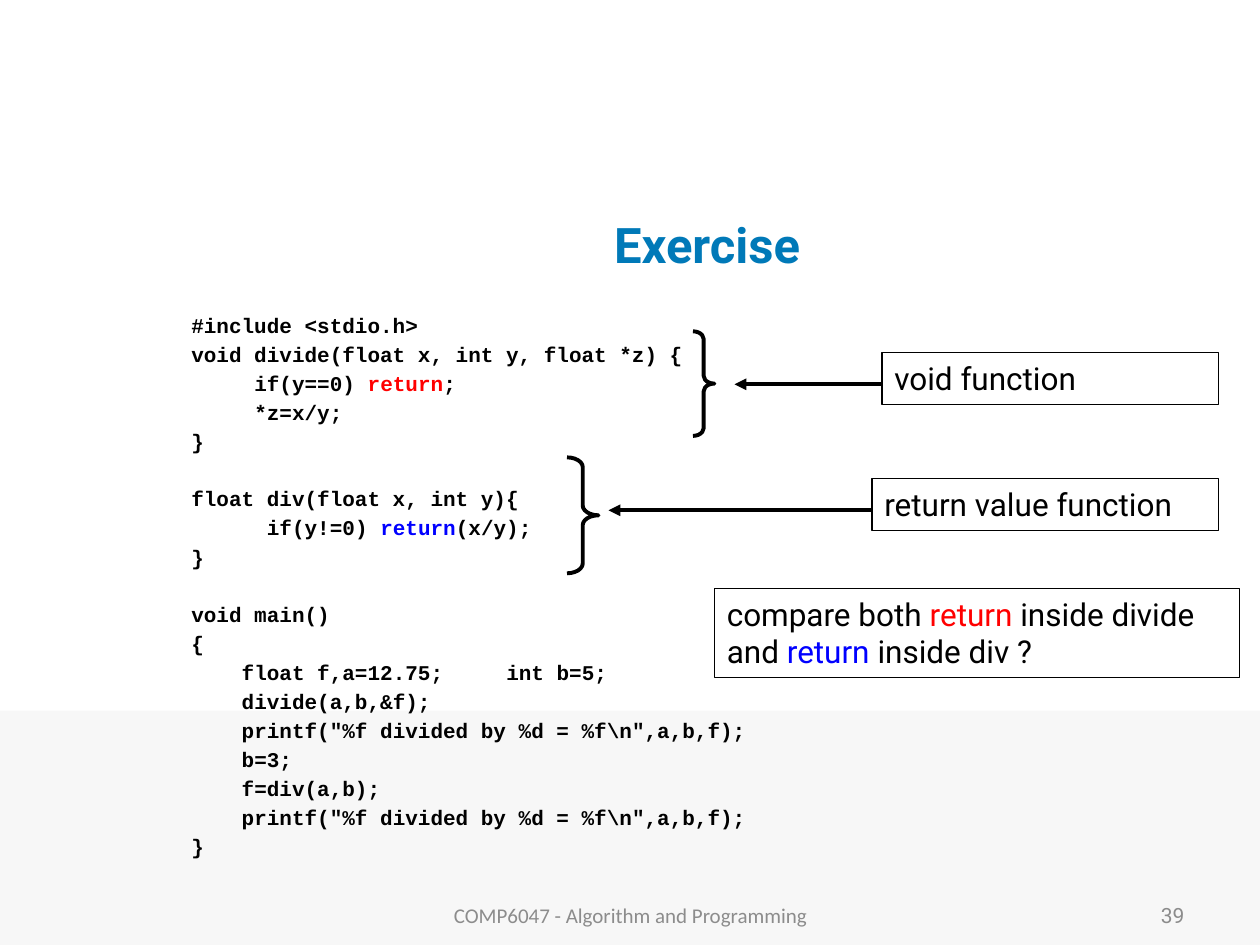
"""Build the exercise slide on return statements in C functions."""
from dataclasses import dataclass
from typing import Any, NamedTuple, Optional

import lxml.etree
import pptx
import pptx.dml.color
import pptx.enum.shapes
import pptx.enum.text
import pptx.oxml
import pptx.oxml.ns
import pptx.util

Inches = pptx.util.Inches
Pt = pptx.util.Pt
Align = pptx.enum.text.PP_ALIGN
Anchor = pptx.enum.text.MSO_ANCHOR
AutoSize = pptx.enum.text.MSO_AUTO_SIZE
Shape = pptx.enum.shapes.MSO_SHAPE


@dataclass(frozen=True)
class Theme:
    ink: str = "000000"
    title: str = "0079B8"
    muted: str = "8C8C8C"
    band: str = "F7F7F7"
    void_return: str = "FF0000"
    value_return: str = "0000FF"
    sans: str = "Roboto"
    mono: str = "Courier New"
    footer: str = "Calibri"
    title_size: float = 28
    label_size: float = 18
    small_size: float = 12
    thin: float = 0.75
    thick: float = 2.25


THEME = Theme()


class Box(NamedTuple):
    left: float
    top: float
    width: float
    height: float


class Span(NamedTuple):
    text: str
    color: Optional[str] = None


class Style(NamedTuple):
    font: str
    size: float
    color: str = THEME.ink
    bold: bool = False


class CodeLine(NamedTuple):
    columns: int
    spans: list[Span]
    after_gap: bool = False


class Caption(NamedTuple):
    box: Box
    text: str
    style: Style
    align: Any


class Label(NamedTuple):
    box: Box
    spans: list[Span]


class Arrow(NamedTuple):
    start: float
    end: float
    y: float


class Brace(NamedTuple):
    box: Box
    curl: float


COLUMN = 0.1
LINE_GAP = 5.1
LINE_PITCH = 16
DECLARATION_TAB = 24 * COLUMN
PRINT_LINE = CodeLine(4, [Span('printf("%f divided by %d = %f\\n",a,b,f);')])

CODE = [
    CodeLine(0, [Span("#include <stdio.h>")]),
    CodeLine(0, [Span("void divide(float x, int y, float *z) {")]),
    CodeLine(5, [Span("if(y==0)"), Span(" return", THEME.void_return), Span(";")]),
    CodeLine(5, [Span("*z=x/y;")]),
    CodeLine(0, [Span("}")]),
    CodeLine(0, [Span("float div(float x, int y){")], after_gap=True),
    CodeLine(6, [Span("if(y!=0) "), Span("return", THEME.value_return), Span("(x/y);")]),
    CodeLine(0, [Span("}")]),
    CodeLine(0, [Span("void main()")], after_gap=True),
    CodeLine(0, [Span("{")]),
    CodeLine(4, [Span("float f,a=12.75;\tint b=5;")]),
    CodeLine(4, [Span("divide(a,b,&f);")]),
    PRINT_LINE,
    CodeLine(4, [Span("b=3;")]),
    CodeLine(4, [Span("f=div(a,b);")]),
    PRINT_LINE,
    CodeLine(0, [Span("}")]),
]

CAPTIONS = [
    Caption(Box(1.92, 1.5, 7.48, 0.87), "Exercise ",
            Style(THEME.sans, THEME.title_size, THEME.title, True), Align.CENTER),
    Caption(Box(7.17, 7.06, 2.33, 0.4), "39",
            Style(THEME.sans, THEME.small_size, THEME.muted), Align.RIGHT),
    Caption(Box(3.42, 7.06, 3.17, 0.4), "COMP6047 - Algorithm and Programming",
            Style(THEME.footer, THEME.small_size, THEME.muted), Align.CENTER),
]

LABELS = [
    Label(Box(7, 2.8, 2.67, 0.41), [Span("void function")]),
    Label(Box(6.92, 3.8, 2.75, 0.41), [Span("return value function")]),
    Label(Box(5.67, 4.67, 4.17, 0.71), [
        Span("compare both "), Span("return", THEME.void_return),
        Span(" inside divide and "), Span("return", THEME.value_return),
        Span(" inside div ?")]),
]

ARROWS = [Arrow(6.92, 4.83, 4.05), Arrow(7, 5.83, 3.05)]
BRACES = [Brace(Box(5.5, 2.63, 0.17, 0.83), 0.36),
          Brace(Box(4.5, 3.63, 0.25, 0.92), 0.31)]


def rgb(color: str) -> pptx.dml.color.RGBColor:
    """Return the colour for a hex string."""
    return pptx.dml.color.RGBColor.from_string(color)


def apply(target: Any, values: dict[str, Any]) -> None:
    """Set each named format value on the target."""
    for name, value in values.items():
        setattr(target, name, value)


def write(paragraph: Any, spans: list[Span], style: Style) -> None:
    """Add the spans to a paragraph in one style."""
    for span in spans:
        run = paragraph.add_run()
        run.text = span.text
        apply(run.font, {"name": style.font, "size": Pt(style.size), "bold": style.bold})
        run.font.color.rgb = rgb(span.color or style.color)


def add_text_frame(slide: Any, box: Box, anchor: Any) -> Any:
    """Add a wrapping text box and return its frame."""
    frame = slide.shapes.add_textbox(*map(Inches, box)).text_frame
    apply(frame, {"word_wrap": True, "vertical_anchor": anchor})
    return frame


def add_outline(slide: Any, kind: Any, box: Box, weight: float) -> Any:
    """Add an unfilled preset shape with a dark outline."""
    shape = slide.shapes.add_shape(kind, *map(Inches, box))
    shape.shadow.inherit = False
    shape.fill.background()
    shape.line.color.rgb = rgb(THEME.ink)
    shape.line.width = Pt(weight)
    return shape


def add_band(slide: Any, box: Box) -> None:
    """Add the pale band behind the lower part."""
    band = slide.shapes.add_shape(Shape.RECTANGLE, *map(Inches, box))
    band.shadow.inherit = False
    band.fill.solid()
    band.fill.fore_color.rgb = rgb(THEME.band)
    band.line.fill.background()


def add_caption(slide: Any, caption: Caption) -> None:
    """Add a one-line caption centred vertically in its box."""
    paragraph = add_text_frame(slide, caption.box, Anchor.MIDDLE).paragraphs[0]
    paragraph.alignment = caption.align
    write(paragraph, [Span(caption.text)], caption.style)


def add_code(slide: Any, box: Box, lines: list[CodeLine]) -> None:
    """Add the program listing, indented by character columns."""
    frame = add_text_frame(slide, box, Anchor.TOP)
    style = Style(THEME.mono, THEME.small_size, bold=True)
    for number, line in enumerate(lines):
        paragraph = frame.add_paragraph() if number else frame.paragraphs[0]
        gap = LINE_GAP + LINE_PITCH * line.after_gap
        apply(paragraph, {"line_spacing": 0.8, "space_before": Pt(gap)})
        properties = paragraph._p.get_or_add_pPr()
        properties.set("marL", "0")
        properties.set("indent", str(Inches(COLUMN * line.columns)))
        tabs = lxml.etree.SubElement(properties, pptx.oxml.ns.qn("a:tabLst"))
        lxml.etree.SubElement(tabs, pptx.oxml.ns.qn("a:tab"),
                              pos=str(Inches(DECLARATION_TAB)), algn="l")
        write(paragraph, line.spans, style)


def add_label(slide: Any, label: Label) -> None:
    """Add an outlined label."""
    frame = add_outline(slide, Shape.RECTANGLE, label.box, THEME.thin).text_frame
    apply(frame, {"word_wrap": True, "vertical_anchor": Anchor.TOP,
                  "auto_size": AutoSize.SHAPE_TO_FIT_TEXT})
    frame.paragraphs[0].alignment = Align.LEFT
    write(frame.paragraphs[0], label.spans, Style(THEME.sans, THEME.label_size))


def add_arrow(slide: Any, arrow: Arrow) -> None:
    """Add a level arrow from a label to its brace."""
    ends = map(Inches, (arrow.start, arrow.y, arrow.end, arrow.y))
    line = slide.shapes.add_connector(pptx.enum.shapes.MSO_CONNECTOR.STRAIGHT, *ends)
    line.line.color.rgb = rgb(THEME.ink)
    line.line.width = Pt(THEME.thick)
    lxml.etree.SubElement(line.line._get_or_add_ln(), pptx.oxml.ns.qn("a:tailEnd"),
                          type="triangle")
    lxml.etree.SubElement(line._element.spPr, pptx.oxml.ns.qn("a:effectLst"))


def add_brace(slide: Any, brace: Brace) -> None:
    """Add a right brace beside a function."""
    shape = add_outline(slide, Shape.RIGHT_BRACE, brace.box, THEME.thick)
    shape.adjustments[0] = brace.curl


def main() -> None:
    """Build and save the slide."""
    deck = pptx.Presentation()
    apply(deck, {"slide_width": Inches(10), "slide_height": Inches(7.5)})
    slide = deck.slides.add_slide(deck.slide_layouts[6])
    add_band(slide, Box(0, 5.64, 10, 1.86))
    add_code(slide, Box(1.42, 2.47, 4.67, 4.28), CODE)
    for draw, parts in ((add_caption, CAPTIONS), (add_label, LABELS),
                        (add_arrow, ARROWS), (add_brace, BRACES)):
        for part in parts:
            draw(slide, part)
    deck.save("out.pptx")


if __name__ == "__main__":
    main()
